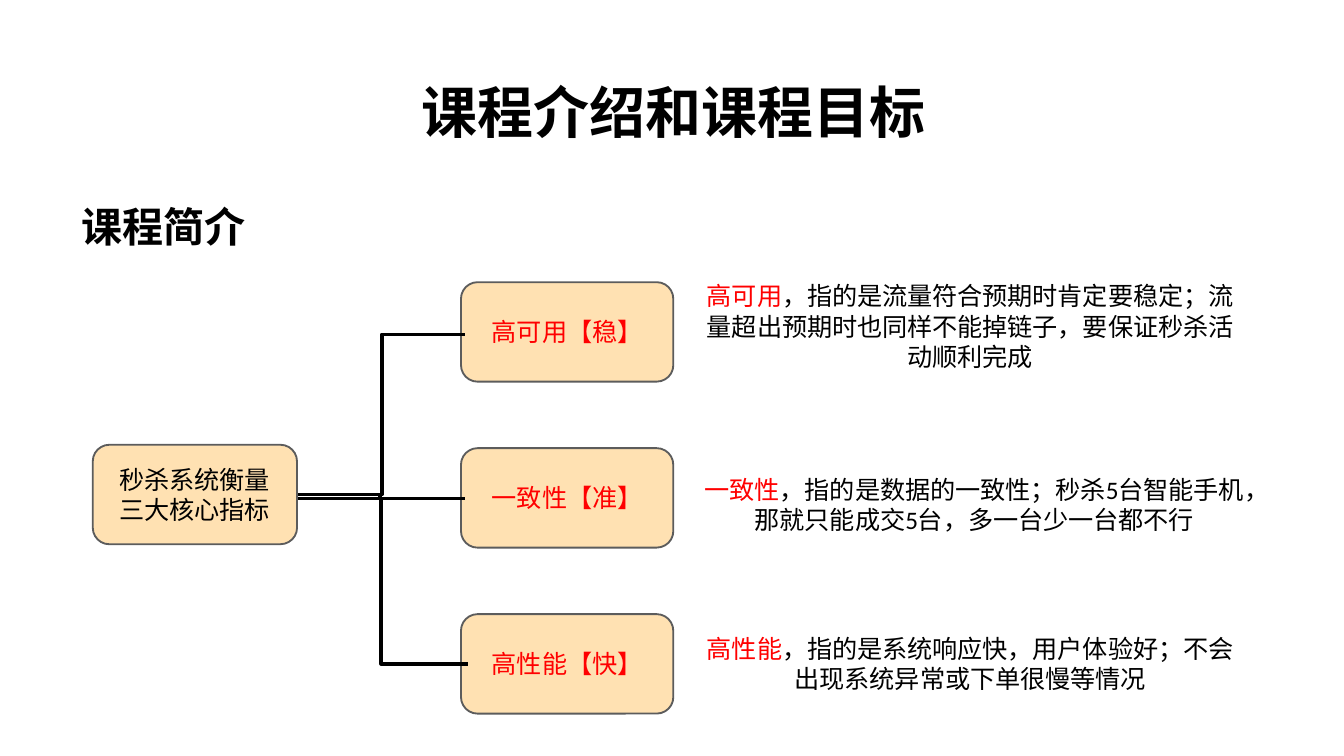
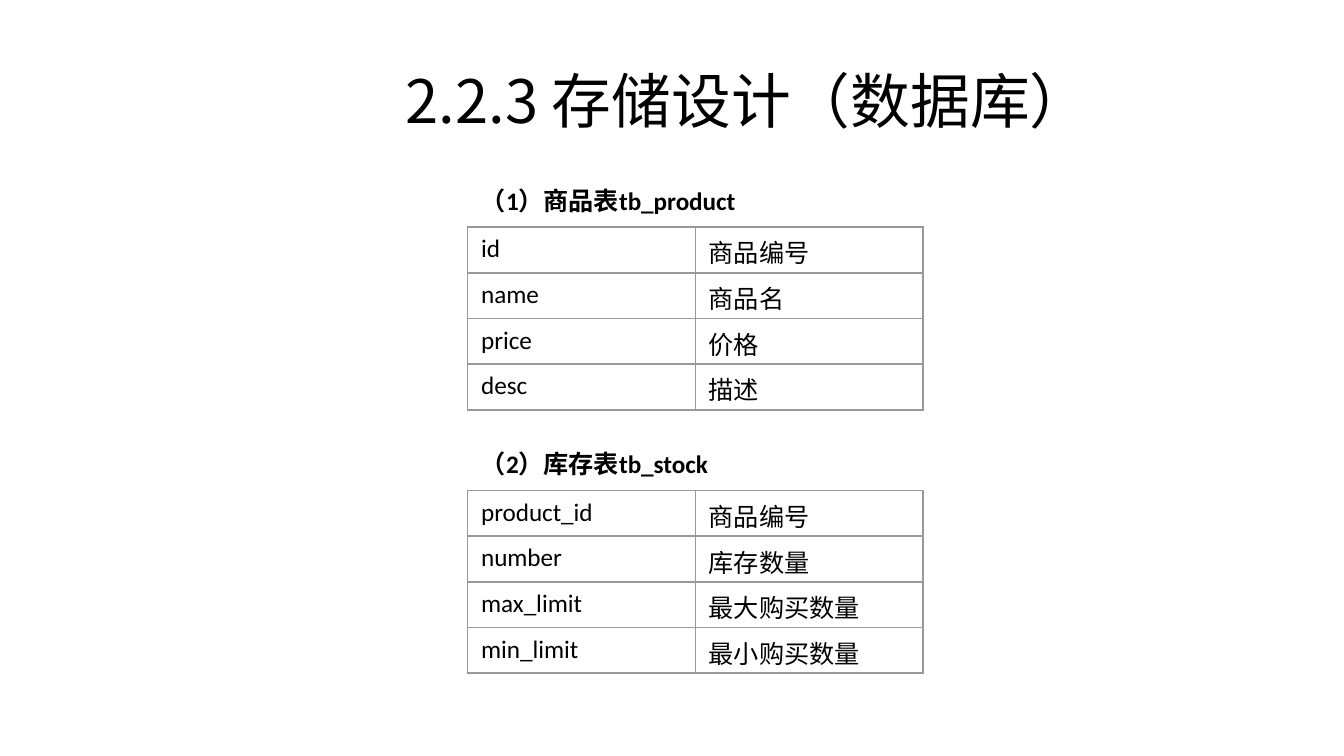
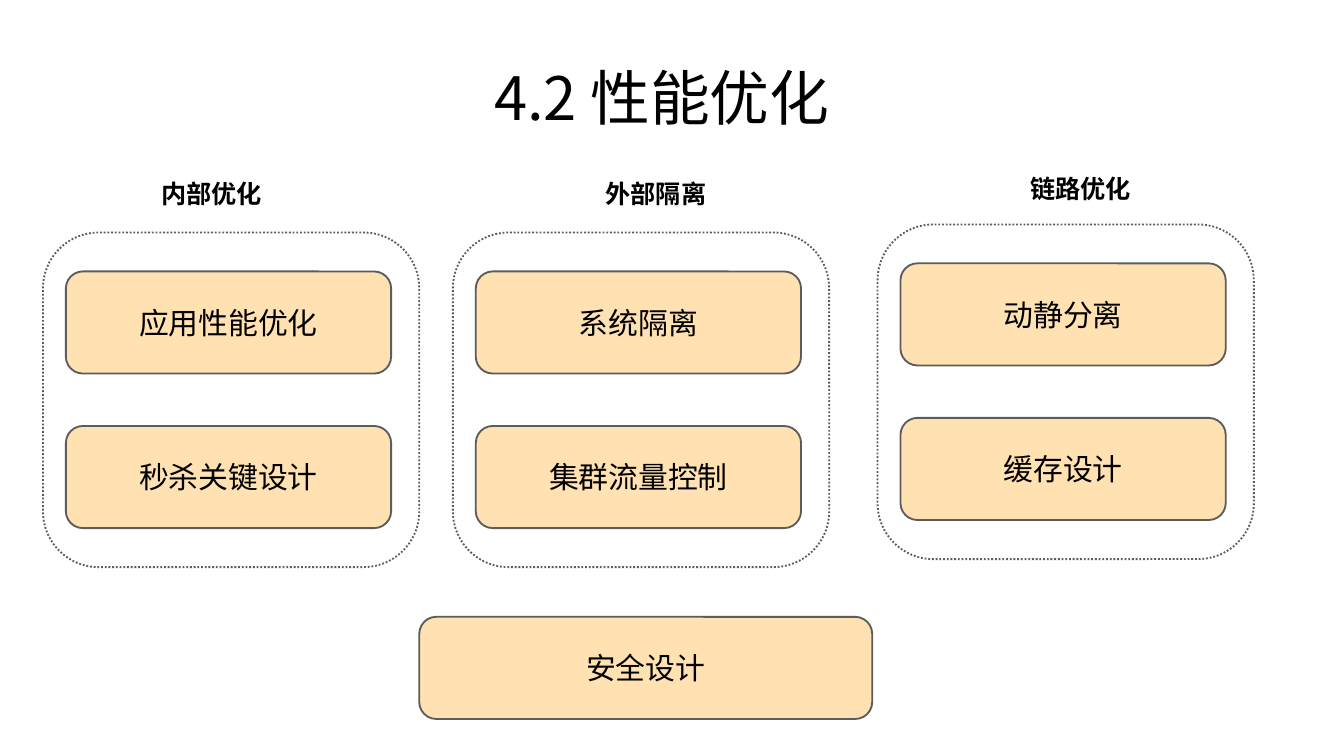
from lxml import etree
from pptx import Presentation
from pptx.dml.color import RGBColor
from pptx.enum.dml import MSO_LINE
from pptx.enum.shapes import MSO_CONNECTOR, MSO_SHAPE
from pptx.enum.text import MSO_ANCHOR, PP_ALIGN
from pptx.oxml.ns import qn
from pptx.util import Inches, Pt

ROUNDED = MSO_SHAPE.ROUNDED_RECTANGLE
CARD = MSO_SHAPE.FLOWCHART_ALTERNATE_PROCESS
ELBOW = MSO_CONNECTOR.ELBOW
DOTTED = MSO_LINE.ROUND_DOT
LEFT, CENTER = PP_ALIGN.LEFT, PP_ALIGN.CENTER
TOP, MIDDLE = MSO_ANCHOR.TOP, MSO_ANCHOR.MIDDLE


def color(value):
    return RGBColor.from_string(value)


class Deck:
    COLUMNS, ROWS = 100, 56.25
    BLACK, RED, WHITE = "000000", "FF0000", "FFFFFF"
    SAND, OUTLINE, GRID = "FFE1B2", "5C5C5C", "999999"
    BODY, HEADING = "Calibri", "Noto Sans CJK SC"
    BODY_SIZE, CARD_SIZE = 13.5, 16

    def __init__(self):
        self.show = Presentation()
        self.show.slide_width = Inches(10)
        self.show.slide_height = Inches(5.625)
        self.page = None

    def new_page(self):
        self.page = self.show.slides.add_slide(self.show.slide_layouts[6])

    def across(self, columns):
        return round(self.show.slide_width * columns / self.COLUMNS)

    def down(self, rows):
        return round(self.show.slide_height * rows / self.ROWS)

    def place(self, left, top, width, height):
        return self.across(left), self.down(top), self.across(width), self.down(height)

    def fill_text(self, frame, paragraphs, size=BODY_SIZE, font=BODY, bold=False,
                  align=LEFT, anchor=TOP, spacing=None):
        frame.word_wrap = True
        frame.vertical_anchor = anchor
        for index, spans in enumerate(paragraphs):
            para = frame.add_paragraph() if index else frame.paragraphs[0]
            para.alignment = align
            if spacing:
                para.line_spacing = spacing
            for text, ink in spans:
                span = para.add_run()
                span.text = text
                span.font.size = Pt(size)
                span.font.bold = bold
                span.font.name = font
                span.font.color.rgb = color(ink)
                properties = span._r.get_or_add_rPr()
                etree.SubElement(properties, qn("a:ea"), typeface=self.HEADING)

    def text(self, area, spans, **style):
        box = self.page.shapes.add_textbox(*self.place(*area))
        self.fill_text(box.text_frame, [spans], **style)

    def title(self, area, text, **style):
        look = {"size": 32, "font": self.HEADING, "align": CENTER,
                "anchor": MIDDLE, "spacing": 0.9}
        self.text(area, [(text, self.BLACK)], **{**look, **style})

    def caption(self, area, text):
        self.text(area, [(text, self.BLACK)], bold=True)

    def outlined(self, kind, area):
        box = self.page.shapes.add_shape(kind, *self.place(*area))
        box.shadow.inherit = False
        box.line.color.rgb = color(self.OUTLINE)
        box.line.width = Pt(1)
        return box

    def node(self, kind, area, lines, ink=BLACK, size=BODY_SIZE):
        box = self.outlined(kind, area)
        box.fill.solid()
        box.fill.fore_color.rgb = color(self.SAND)
        self.fill_text(box.text_frame, [[(line, ink)] for line in lines],
                       size=size, align=CENTER, anchor=MIDDLE)

    def card(self, area, text):
        self.node(CARD, area, [text], size=self.CARD_SIZE)

    def dotted_group(self, area):
        box = self.outlined(ROUNDED, area)
        box.fill.background()
        box.line.dash_style = DOTTED

    def branch(self, start, end, bend):
        line = self.page.shapes.add_connector(
            ELBOW, self.across(start[0]), self.down(start[1]),
            self.across(end[0]), self.down(end[1]))
        line.line.color.rgb = color(self.BLACK)
        line.line.width = Pt(2)
        properties = line._element.spPr
        etree.SubElement(properties, qn("a:effectLst"))
        guides = properties.find(".//" + qn("a:avLst"))
        etree.SubElement(guides, qn("a:gd"), name="adj1", fmla=f"val {round(bend * 100000)}")

    def border(self, cell):
        properties = cell._tc.get_or_add_tcPr()
        for index, side in enumerate(("lnL", "lnR", "lnT", "lnB")):
            edge = etree.Element(qn("a:" + side), w=str(Pt(1)))
            fill = etree.SubElement(edge, qn("a:solidFill"))
            etree.SubElement(fill, qn("a:srgbClr"), val=self.GRID)
            properties.insert(index, edge)

    def table(self, left, top, column, row, records):
        area = self.place(left, top, column * len(records[0]), row * len(records))
        table = self.page.shapes.add_table(len(records), len(records[0]), *area).table
        table.first_row = table.horz_banding = False
        for line, record in enumerate(records):
            for position, text in enumerate(record):
                cell = table.cell(line, position)
                cell.fill.solid()
                cell.fill.fore_color.rgb = color(self.WHITE)
                self.border(cell)
                self.fill_text(cell.text_frame, [[(text, self.BLACK)]])


def course_goals(deck):
    deck.new_page()
    deck.title((5.1, 14, 90, 5.6), "课程简介", size=22, bold=True, align=LEFT, spacing=None)
    deck.title((5.1, 5.3, 90, 6.3), "课程介绍和课程目标", size=30, bold=True,
               anchor=TOP, spacing=None)
    deck.node(ROUNDED, (6.9, 33.1, 15.2, 7.4), ["秒杀系统衡量", "三大核心指标"])
    goals = [
        ("高可用", "稳", (51.2, 20.4, 42, 8.2),
         "，指的是流量符合预期时肯定要稳定；流量超出预期时也同样不能掉链子，要保证秒杀活动顺利完成"),
        ("一致性", "准", (51.2, 34.8, 42.6, 6),
         "，指的是数据的一致性；秒杀5台智能手机，那就只能成交5台，多一台少一台都不行"),
        ("高性能", "快", (51.2, 46.6, 42, 5.6),
         "，指的是系统响应快，用户体验好；不会出现系统异常或下单很慢等情况"),
    ]
    for index, (name, mark, area, meaning) in enumerate(goals):
        deck.node(ROUNDED, (34.3, 21 + 12.35 * index, 15.8, 7.4), [f"{name}【{mark}】"], deck.RED)
        deck.text(area, [(name, deck.RED), (meaning, deck.BLACK)], align=CENTER)
    deck.branch((22.2, 36.8), (34.6, 24.9), 0.5)
    deck.branch((22.2, 37.1), (34.8, 49.4), 0.49)
    deck.branch((23.3, 36.8), (34.6, 37.1), 0.44)


def storage_design(deck):
    deck.new_page()
    deck.title((27.7, 5.2, 55.9, 5.1), "2.2.3 存储设计（数据库）")
    tables = [
        ("（1）商品表tb_product",
         [("id", "商品编号"), ("name", "商品名"), ("price", "价格"), ("desc", "描述")]),
        ("（2）库存表tb_stock",
         [("product_id", "商品编号"), ("number", "库存数量"),
          ("max_limit", "最大购买数量"), ("min_limit", "最小购买数量")]),
    ]
    for index, (caption, records) in enumerate(tables):
        top = 13.3 + 19.6 * index
        deck.table(34.8, top + 3.6, 16.95, 3.4, records)
        deck.caption((34.8, top, 26.1, 3.6), caption)


def performance(deck):
    deck.new_page()
    deck.title((19.3, 5, 59.9, 5.1), "4.2 性能优化")
    groups = [
        ("内部优化", (11, 12.8), (3.2, 17.3), ["应用性能优化", "秒杀关键设计"]),
        ("外部隔离", (44.1, 12.8), (33.7, 17.3), ["系统隔离", "集群流量控制"]),
        ("链路优化", (75.7, 12.4), (65.3, 16.7), ["动静分离", "缓存设计"]),
    ]
    for caption, corner, (left, top), cards in groups:
        deck.dotted_group((left, top, 28, 24.9))
        deck.caption((*corner, 10.3, 3.6), caption)
        for index, text in enumerate(cards):
            deck.card((left + 1.7, top + 2.9 + 11.5 * index, 24.2, 7.6), text)
    deck.card((31.2, 45.9, 33.7, 7.6), "安全设计")


def main():
    deck = Deck()
    course_goals(deck)
    storage_design(deck)
    performance(deck)
    deck.show.save("out.pptx")


if __name__ == "__main__":
    main()
